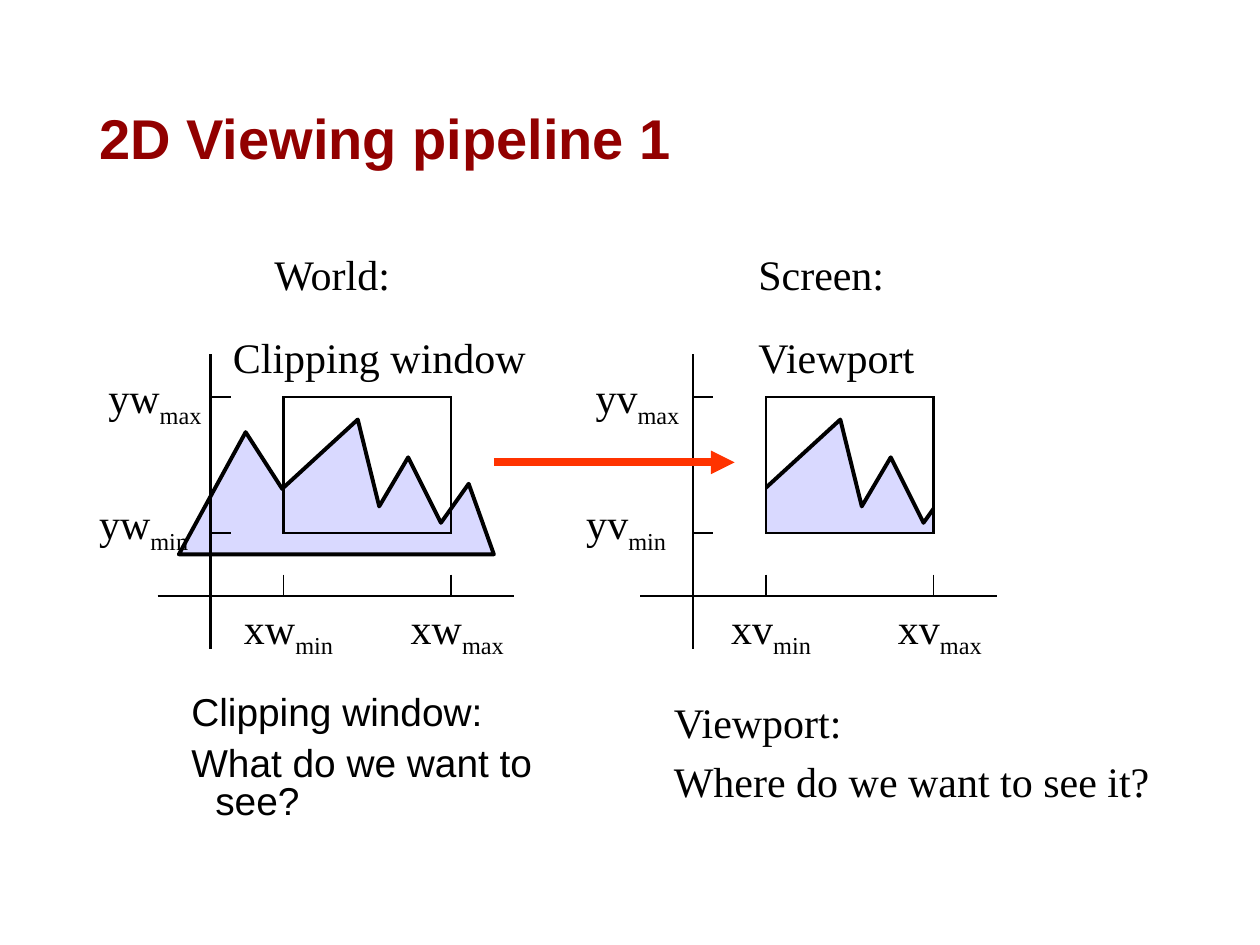
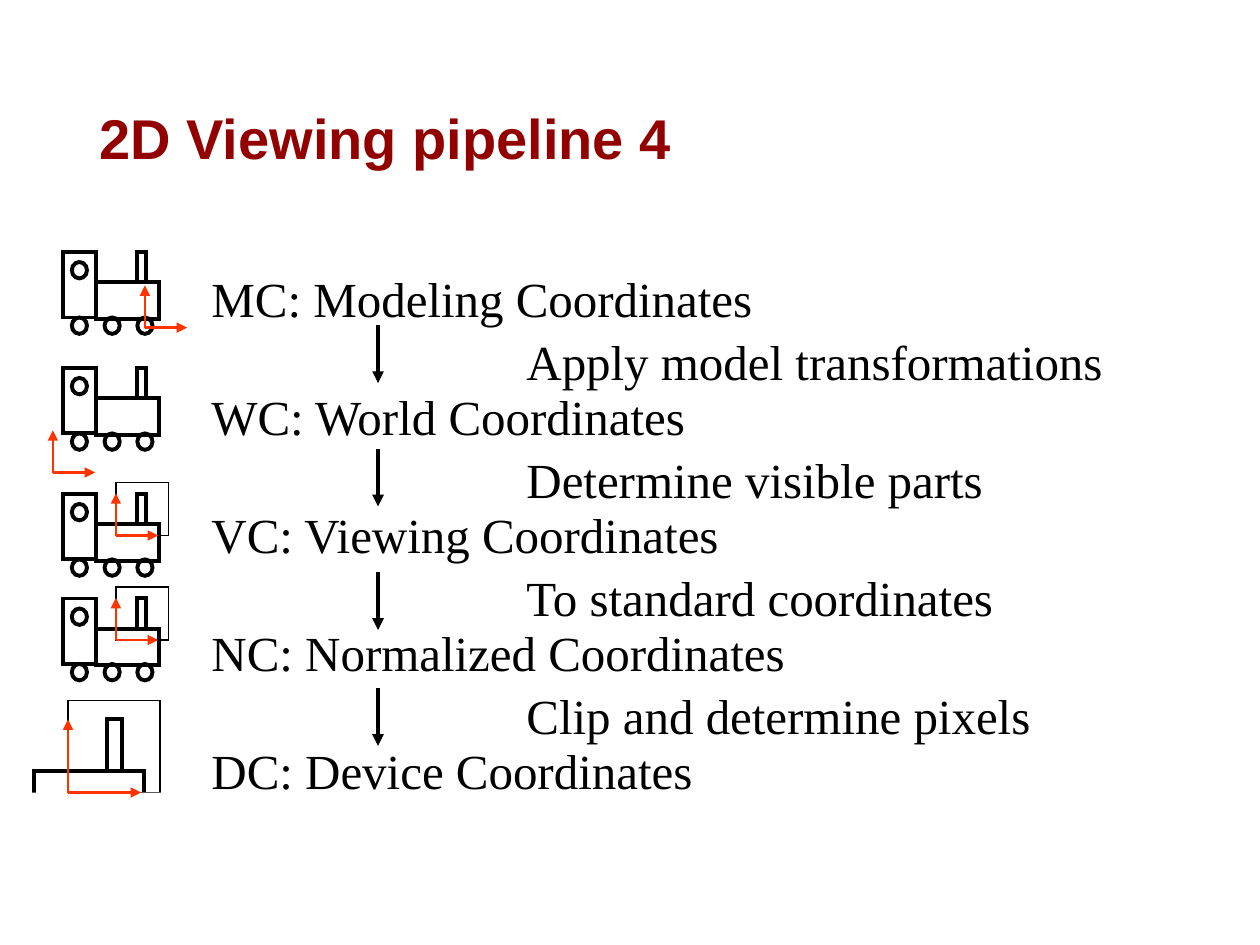
import pptx
import pptx.dml.color
import pptx.enum.shapes
import pptx.enum.text
import pptx.oxml.ns
import pptx.util
from lxml import etree

Inches = pptx.util.Inches
Pt = pptx.util.Pt
SHAPE = pptx.enum.shapes.MSO_SHAPE
ALIGN = pptx.enum.text.PP_ALIGN
ANCHOR = pptx.enum.text.MSO_ANCHOR

COLORS = {"title": "920000", "ink": "000000", "paper": "FFFFFF",
          "mountain": "D9D9FF", "accent": "FF3300"}
SERIF, SANS = "Times New Roman", "Arial"

TITLE_BOX = (0.69, 0.4, 8.62, 1.45)
TITLES = ["2D Viewing pipeline 1", "2D Viewing pipeline 4"]

MOUNTAIN = [(1.42, 4.4), (1.95, 3.43), (2.24, 3.88), (2.84, 3.33), (3.01, 4.02),
            (3.24, 3.63), (3.5, 4.15), (3.72, 3.84), (3.92, 4.4)]
WINDOW = (2.25, 3.15, 1.33, 1.08)
AXES = [(1.25, 4.73, 4.08, 4.73), (1.67, 5.15, 1.67, 2.81)]
TICKS = [(2.25, 4.56, 2.25, 4.73), (3.58, 4.56, 3.58, 4.73),
         (1.67, 4.23, 1.83, 4.23), (1.67, 3.15, 1.83, 3.15)]
AXIS_LABELS = [("x", "min", 2.29, 4.73), ("x", "max", 3.63, 4.73),
               ("y", "max", 1.23, 2.9), ("y", "min", 1.14, 3.9)]
LABEL_WIDTH = 1
MASKS = [(1.25, 2.98, 1, 1.58), (2.17, 4.23, 2.08, 0.33), (3.59, 3.06, 0.75, 1.58)]
SCENES = [{"letter": "w", "shift": 0, "masks": []},
          {"letter": "v", "shift": 3.83, "masks": MASKS}]
HEADINGS = [("World:", (2.08, 1.92, 1.92, 0.58)),
            ("Clipping window", (1.75, 2.58, 2.58, 0.5)),
            ("Screen:", (5.92, 1.92, 1.92, 0.58)),
            ("Viewport", (5.92, 2.58, 1.58, 0.5))]
WINDOW_QUESTION = ["Clipping window:", "What do we want to see?"]
VIEWPORT_QUESTION = ["Viewport:", "Where do we want to see it?"]
MAPPING_ARROW = (3.92, 3.67, 5.83, 3.67)

SYSTEMS = ["MC: Modeling Coordinates", "WC: World Coordinates",
           "VC: Viewing Coordinates", "NC: Normalized Coordinates",
           "DC: Device Coordinates"]
STEPS = ["Apply model transformations", "Determine visible parts",
         "To standard coordinates", "Clip and determine pixels"]
LIST_GAP = 33.9
STEP_ARROWS = {"x": 3, "tops": [2.58, 3.56, 4.54, 5.46], "length": 0.46}

LOCOMOTIVE_LEFT = 0.5
LOCOMOTIVE = [
    (SHAPE.RECTANGLE, (0.26, 0.24, 0.5, 0.29)),
    (SHAPE.RECTANGLE, (0, 0, 0.26, 0.52)),
    (SHAPE.RECTANGLE, (0.59, 0, 0.07, 0.24)),
    (SHAPE.OVAL, (0.07, 0.08, 0.12, 0.13)),
] + [(SHAPE.OVAL, (0.07 + 0.26 * wheel, 0.52, 0.12, 0.13)) for wheel in range(3)]
VIEWS = [{"top": 2, "origin": (1.15, 2.6), "frame": False},
         {"top": 2.92, "origin": (0.42, 3.75), "frame": False},
         {"top": 3.92, "origin": (0.92, 4.25), "frame": True},
         {"top": 4.75, "origin": (0.92, 5.08), "frame": True}]
VIEW_AXIS, VIEW_FRAME = 0.335, 0.42
DEVICE_PARTS = [(0.27, 6.12, 0.87, 0.51), (0.85, 5.71, 0.12, 0.41)]
DEVICE_ORIGIN, DEVICE_AXIS, DEVICE_FRAME = (0.54, 6.29), 0.58, 0.73
DEVICE_MASK = (0, 6.29, 1.42, 0.73)


def color(name):
    return pptx.dml.color.RGBColor.from_string(COLORS[name])


def apply(target, values):
    for name, value in values.items():
        setattr(target, name, value)


def shifted(box, x, y=0):
    left, top, width, height = box
    return left + x, top + y, width, height


def add_line_detail(line, tag, **attributes):
    properties = line._get_or_add_ln()
    etree.SubElement(properties, pptx.oxml.ns.qn(tag), attributes)


def style_shape(shape, fill=None, width=None):
    shape.shadow.inherit = False
    if fill:
        shape.fill.solid()
        shape.fill.fore_color.rgb = color(fill)
    else:
        shape.fill.background()
    if width:
        shape.line.color.rgb = color("ink")
        shape.line.width = Pt(width)
    else:
        shape.line.fill.background()


def add_shape(slide, kind, box, fill=None, width=None):
    shape = slide.shapes.add_shape(kind, *map(Inches, box))
    style_shape(shape, fill, width)
    if width:
        add_line_detail(shape.line, "a:miter", lim="800000")


def add_line(slide, ends, width, ink="ink", arrow=False):
    connector = slide.shapes.add_connector(
        pptx.enum.shapes.MSO_CONNECTOR.STRAIGHT, *map(Inches, ends))
    connector.line.color.rgb = color(ink)
    connector.line.width = Pt(width)
    if arrow:
        add_line_detail(connector.line, "a:tailEnd", type="triangle")
    etree.SubElement(connector._element.spPr, pptx.oxml.ns.qn("a:effectLst"))


def add_text(slide, box, lines, size, font=SERIF, ink="ink", bold=False,
             anchor=ANCHOR.TOP, gap=0, hanging=0, paragraph_format=None):
    frame = slide.shapes.add_textbox(*map(Inches, box)).text_frame
    apply(frame, {"word_wrap": True, "vertical_anchor": anchor})
    for index, line in enumerate(lines):
        paragraph = frame.paragraphs[0] if index == 0 else frame.add_paragraph()
        apply(paragraph, paragraph_format or {})
        if index:
            paragraph.space_before = Pt(gap)
        if hanging:
            properties = paragraph._p.get_or_add_pPr()
            properties.set("marL", str(Inches(hanging)))
            properties.set("indent", str(-Inches(hanging)))
        parts = (line,) if isinstance(line, str) else line
        for position, part in enumerate(parts):
            run = paragraph.add_run()
            run.text = part
            apply(run.font, {"size": Pt(size), "name": font, "bold": bold})
            run.font.color.rgb = color(ink)
            if position:
                run.font._element.set("baseline", "-25000")


def add_titled_slide(presentation, title):
    slide = presentation.slides.add_slide(presentation.slide_layouts[6])
    add_text(slide, TITLE_BOX, [title], 32, SANS, "title", bold=True,
             anchor=ANCHOR.MIDDLE, paragraph_format={"line_spacing": 0.9})
    return slide


def add_scene(slide, letter, shift, masks):
    points = [(Inches(x + shift), Inches(y)) for x, y in MOUNTAIN]
    builder = slide.shapes.build_freeform(*points[0])
    builder.add_line_segments(points[1:], close=True)
    style_shape(builder.convert_to_shape(), "mountain", 2.25)
    for mask in masks:
        add_shape(slide, SHAPE.RECTANGLE, shifted(mask, shift), "paper")
    for width, lines in ((1.5, AXES), (0.75, TICKS)):
        for x1, y1, x2, y2 in lines:
            add_line(slide, (x1 + shift, y1, x2 + shift, y2), width)
    add_shape(slide, SHAPE.RECTANGLE, shifted(WINDOW, shift), width=1.5)
    for axis, limit, center, top in AXIS_LABELS:
        box = (center + shift - LABEL_WIDTH / 2, top, LABEL_WIDTH, 0.5)
        add_text(slide, box, [(axis + letter, limit)], 24,
                 paragraph_format={"alignment": ALIGN.CENTER})


def add_view_axes(slide, origin, length):
    x, y = origin
    for tip in ((x + length, y), (x, y - length)):
        add_line(slide, (x, y, *tip), 1.5, "accent", arrow=True)


def add_view_frame(slide, origin, side):
    x, y = origin
    add_shape(slide, SHAPE.RECTANGLE, (x, y - side, side, side), width=0.75)


def build_window_slide(presentation):
    slide = add_titled_slide(presentation, TITLES[0])
    for scene in SCENES:
        add_scene(slide, **scene)
    for text, box in HEADINGS:
        add_text(slide, box, [text], 24)
    add_text(slide, (1.42, 5.48, 3.58, 1.1), WINDOW_QUESTION, 22.2, SANS, gap=8,
             hanging=0.19, paragraph_format={"line_spacing": 0.8})
    add_text(slide, (5.25, 5.48, 4, 1), VIEWPORT_QUESTION, 24, gap=4.8, hanging=0.38)
    add_line(slide, MAPPING_ARROW, 4.5, "accent", arrow=True)


def build_coordinates_slide(presentation):
    slide = add_titled_slide(presentation, TITLES[1])
    add_text(slide, (1.58, 2.08, 6.17, 4.3), SYSTEMS, 28, gap=LIST_GAP)
    add_text(slide, (4.08, 2.58, 5, 3.69), STEPS, 28, gap=LIST_GAP)
    for top in STEP_ARROWS["tops"]:
        x = STEP_ARROWS["x"]
        add_line(slide, (x, top, x, top + STEP_ARROWS["length"]), 2.25, arrow=True)
    for view in VIEWS:
        for kind, box in LOCOMOTIVE:
            add_shape(slide, kind, shifted(box, LOCOMOTIVE_LEFT, view["top"]), width=2.25)
        if view["frame"]:
            add_view_frame(slide, view["origin"], VIEW_FRAME)
        add_view_axes(slide, view["origin"], VIEW_AXIS)
    for box in DEVICE_PARTS:
        add_shape(slide, SHAPE.RECTANGLE, box, width=2.25)
    add_view_frame(slide, DEVICE_ORIGIN, DEVICE_FRAME)
    add_shape(slide, SHAPE.RECTANGLE, DEVICE_MASK, "paper")
    add_view_axes(slide, DEVICE_ORIGIN, DEVICE_AXIS)


def main():
    presentation = pptx.Presentation()
    apply(presentation, {"slide_width": Inches(10), "slide_height": Inches(7.5)})
    build_window_slide(presentation)
    build_coordinates_slide(presentation)
    presentation.save("out.pptx")


if __name__ == "__main__":
    main()
